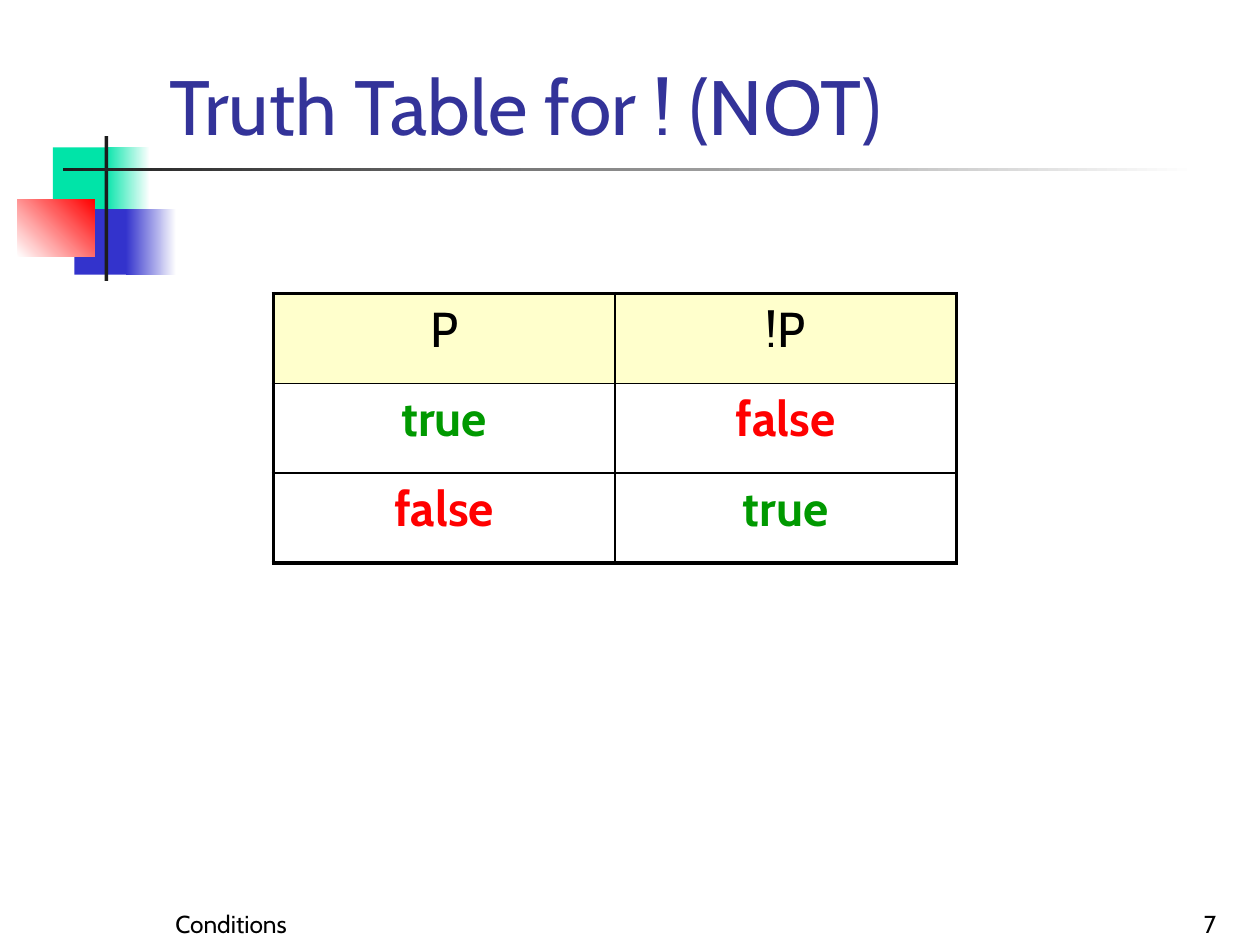
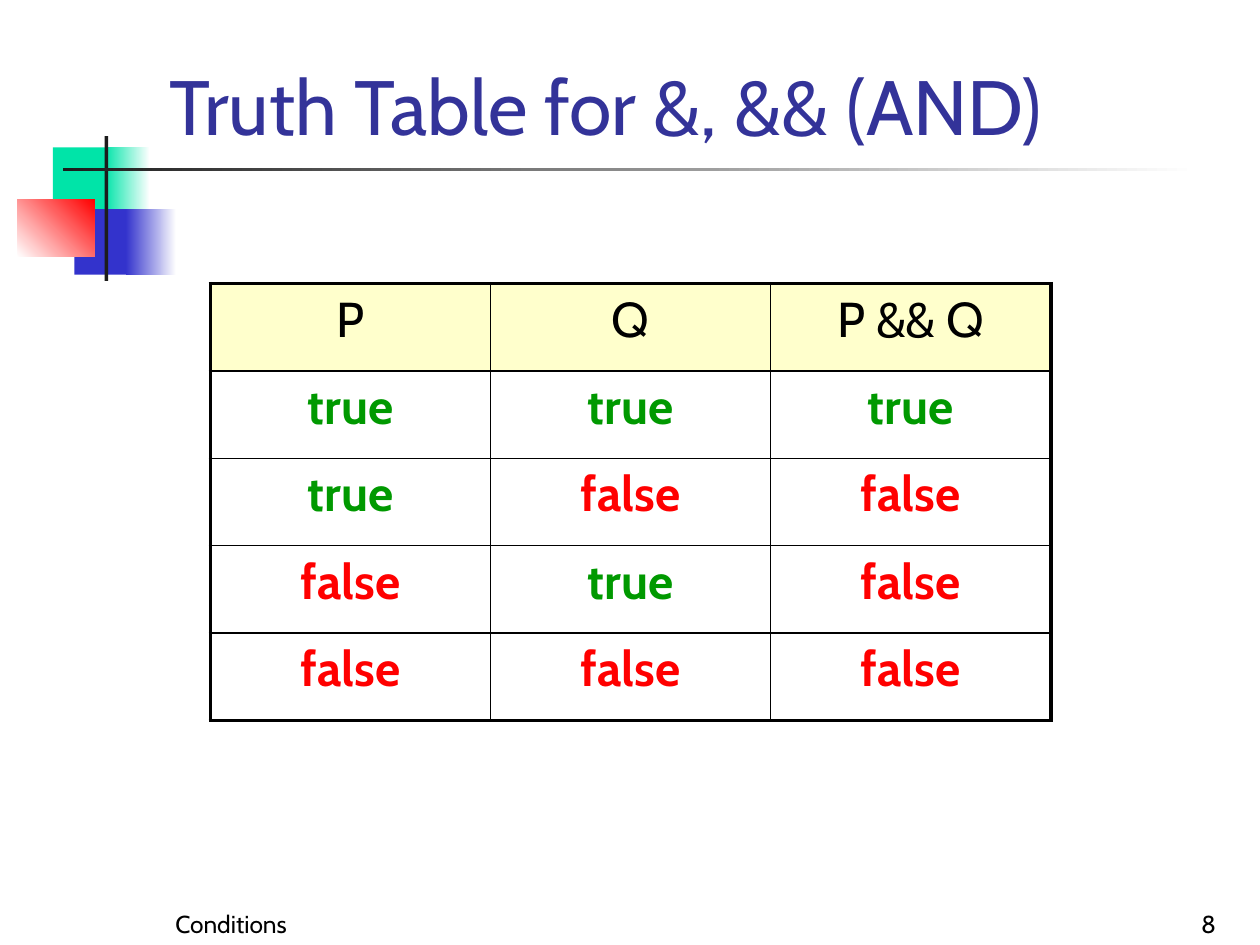
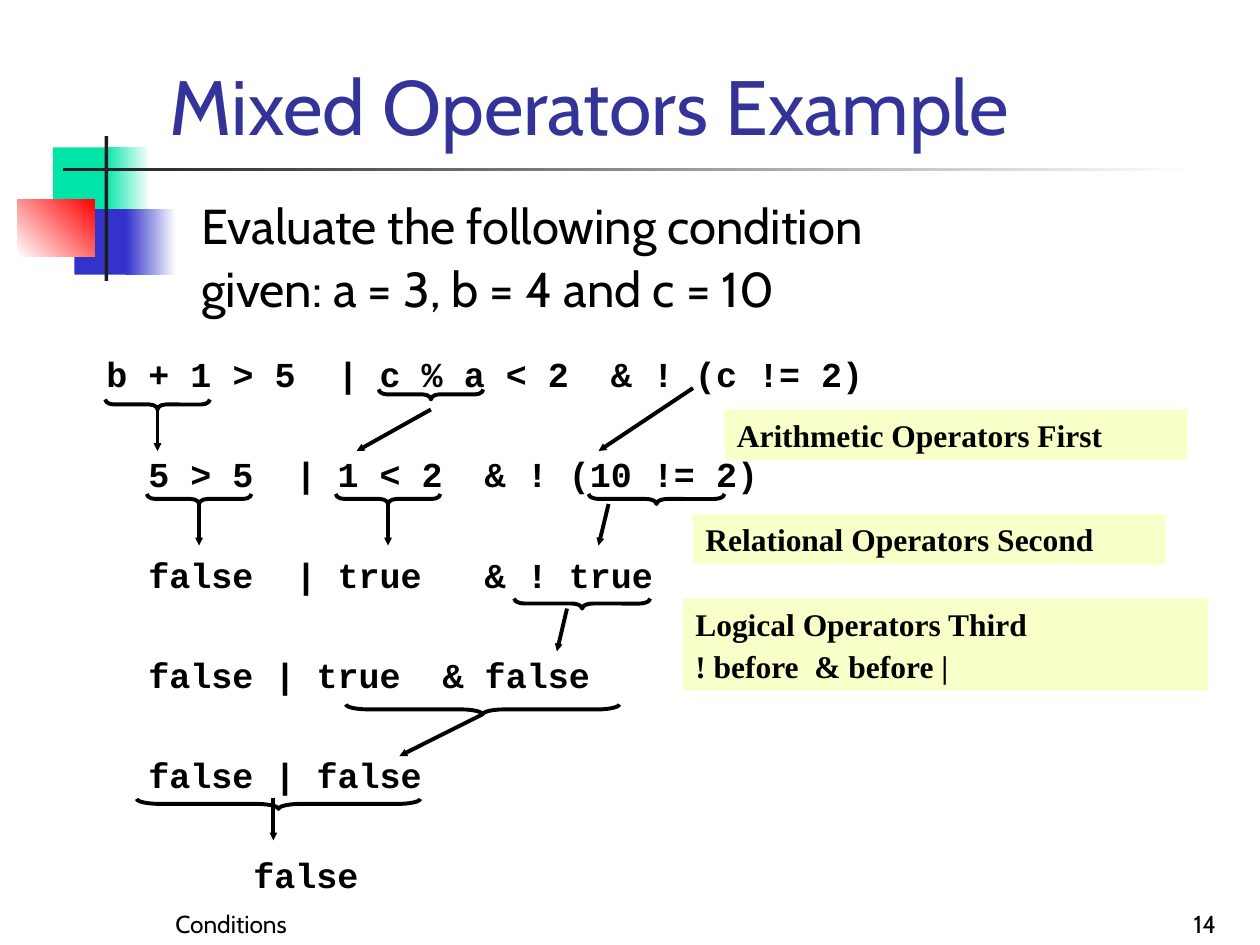
from lxml import etree
from pptx import Presentation
from pptx.dml.color import RGBColor
from pptx.enum.shapes import MSO_CONNECTOR, MSO_SHAPE
from pptx.enum.text import MSO_ANCHOR, PP_ALIGN
from pptx.oxml.ns import qn
from pptx.util import Inches, Pt

RECT, BRACE = MSO_SHAPE.RECTANGLE, MSO_SHAPE.RIGHT_BRACE
STRAIGHT = MSO_CONNECTOR.STRAIGHT
TOP, BOTTOM = MSO_ANCHOR.TOP, MSO_ANCHOR.BOTTOM
LEFT, CENTER, RIGHT = PP_ALIGN.LEFT, PP_ALIGN.CENTER, PP_ALIGN.RIGHT

SANS, MONO, SERIF = "Cabin", "Courier New", "Times New Roman"
BLACK, WHITE, INK = "000000", "FFFFFF", "1C1C1C"
GREEN, BLUE, RED = "00E4A8", "3333CC", "FF0000"
TITLE, HEAD, NOTE = "333399", "FFFFCC", "F9FFC9"
WORDS = {"true": "009900", "false": RED}
THICK, THIN = 2.25, 1
CHAR = 1 / 6  # width in inches of one 20 pt code letter

# box, colours (two make a gradient), angle
MOTIF = [
    ((0.42, 1.17, 0.48, 0.52), [GREEN], 0),
    ((0.83, 1.17, 0.36, 0.52), [GREEN, WHITE], 0),
    ((0.59, 1.66, 0.46, 0.52), [BLUE], 0),
    ((1, 1.66, 0.4, 0.52), [BLUE, WHITE], 0),
    ((0.14, 1.58, 0.61, 0.46), [WHITE, RED], 45),
    ((0.83, 1.08, 0.03, 1.15), [INK], 0),
    ((0.5, 1.33, 9, 0.03), [INK, WHITE], 0),
]

# indent in letters, text
STEPS = [
    (1, "b + 1 > 5  | c % a < 2  & ! (c != 2)"),
    (3, "5 > 5  | 1 < 2  & ! (10 != 2)"),
    (3, "false  | true   & ! true"),
    (3, "false | true  & false"),
    (3, "false | false"),
    (8, "false"),
]

# centre x, centre y, span
BRACES = [
    (1.25, 3.21, 0.83), (3.42, 3.13, 0.83),
    (1.58, 3.96, 0.83), (3.08, 3.96, 0.83), (5.21, 3.96, 1.08),
    (4.62, 4.79, 1.08), (3.83, 5.63, 2.17), (2.21, 6.38, 2.25),
]

# from x, y, to x, y
ARROWS = [
    (1.25, 3.25, 1.25, 3.58), (3.42, 3.25, 2.83, 3.58),
    (5.5, 3.08, 4.75, 3.58), (1.58, 4, 1.58, 4.33),
    (3.08, 4, 3.08, 4.33), (4.83, 4, 4.75, 4.33),
    (4.5, 4.83, 4.42, 5.17), (3.83, 5.67, 3.17, 6),
    (2.17, 6.33, 2.17, 6.67),
]

NOTES = [
    ((5.75, 3.25, 3.67, 0.4), ["Arithmetic Operators First"]),
    ((5.5, 4.08, 3.75, 0.4), ["Relational Operators Second"]),
    ((5.42, 4.75, 4.17, 0.73),
     ["Logical Operators Third", "! before  & before |"]),
]


def rgb(code):
    return RGBColor.from_string(code)


def inches(box):
    return [Inches(v) for v in box]


def style(para, size, font=SANS, color=BLACK, bold=False, align=LEFT):
    para.alignment = align
    for run in para.runs:
        run.font.size = Pt(size)
        run.font.name = font
        run.font.bold = bold
        run.font.color.rgb = rgb(color)


def write(shape, lines, size, anchor=TOP, gap=0, **look):
    """Fill a shape with one paragraph a line, gap points apart."""
    frame = shape.text_frame
    frame.word_wrap = True
    frame.vertical_anchor = anchor
    frame.text = "\n".join(lines)
    for i, para in enumerate(frame.paragraphs):
        para.space_before = Pt(gap if i else 0)
        style(para, size, **look)
    return frame


def label(slide, box, lines, size, **look):
    return write(slide.shapes.add_textbox(*inches(box)), lines, size, **look)


def block(slide, box, colors, angle=0):
    shape = slide.shapes.add_shape(RECT, *inches(box))
    shape.shadow.inherit = False
    shape.line.fill.background()
    if len(colors) == 1:
        shape.fill.solid()
        shape.fill.fore_color.rgb = rgb(colors[0])
    else:
        shape.fill.gradient()
        shape.fill.gradient_angle = angle
        for stop, color in zip(shape.fill.gradient_stops, colors):
            stop.color.rgb = rgb(color)
    return shape


def base(deck, title, page):
    """Add a slide with the shared motif, title and footer."""
    slide = deck.slides.add_slide(deck.slide_layouts[6])
    for part in MOTIF:
        block(slide, *part)
    label(slide, (0.25, 7, 3.17, 0.5), ["Conditions"], 14,
          anchor=BOTTOM, align=CENTER)
    label(slide, (7.67, 7, 2.08, 0.5), [str(page)], 14,
          anchor=BOTTOM, align=RIGHT)
    label(slide, (1.25, 0, 8.52, 1.25), [title], 44,
          anchor=BOTTOM, color=TITLE)
    return slide


def edge(cell, side, width):
    line = etree.SubElement(cell._tc.get_or_add_tcPr(), qn("a:ln" + side),
                            w=str(Pt(width)))
    fill = etree.SubElement(line, qn("a:solidFill"))
    etree.SubElement(fill, qn("a:srgbClr"), val=BLACK)


def truth(slide, box, rows):
    """Draw a truth table with a thick frame and coloured values."""
    high, wide = len(rows), len(rows[0])
    table = slide.shapes.add_table(high, wide, *inches(box)).table
    table.first_row = table.horz_banding = False
    for col in table.columns:
        col.width = Inches(box[2] / wide)
    for r, row in enumerate(rows):
        table.rows[r].height = Inches(box[3] / high)
        for c, text in enumerate(row):
            cell = table.cell(r, c)
            outer = {"L": c == 0, "R": c == wide - 1,
                     "T": r == 0, "B": r == high - 1}
            for side, out in outer.items():
                edge(cell, side, THICK if out else THIN)
            if r:
                cell.fill.background()
            else:
                cell.fill.solid()
                cell.fill.fore_color.rgb = rgb(HEAD)
            cell.text_frame.text = text
            style(cell.text_frame.paragraphs[0], 28, bold=r > 0,
                  color=WORDS.get(text, BLACK), align=CENTER)


def brace(slide, x, y, span):
    """Draw a brace lying on its side, centred on x, y."""
    thick = 0.08
    box = (x - thick / 2, y - span / 2, thick, span)
    shape = slide.shapes.add_shape(BRACE, *inches(box))
    shape.rotation = 90
    shape.adjustments[0] = span
    shape.adjustments[1] = 0.5
    shape.shadow.inherit = False
    shape.fill.background()
    shape.line.color.rgb = rgb(BLACK)
    shape.line.width = Pt(THICK)


def arrow(slide, *ends):
    link = slide.shapes.add_connector(STRAIGHT, *inches(ends))
    link.line.color.rgb = rgb(BLACK)
    link.line.width = Pt(THICK)
    etree.SubElement(link.line._get_or_add_ln(), qn("a:tailEnd"),
                     type="triangle", w="sm", len="sm")
    etree.SubElement(link._element.spPr, qn("a:effectLst"))


def code(slide, box):
    """Write the evaluation steps, each indented by whole letters."""
    frame = write(block(slide, box, [WHITE]), [text for _, text in STEPS],
                  20, gap=33.3, font=MONO, bold=True)
    frame.paragraphs[0].space_before = Pt(3)
    for para, (count, _) in zip(frame.paragraphs, STEPS):
        para._p.get_or_add_pPr().set("marL", str(Inches(count * CHAR)))


def mixed(slide):
    label(slide, (1.5, 1.5, 8.5, 1.17),
          ["Evaluate the following condition",
           "given: a = 3, b = 4 and c = 10"], 28, gap=2.8)
    code(slide, (0.58, 2.75, 6.5, 4.48))
    for item in BRACES:
        brace(slide, *item)
    for item in ARROWS:
        arrow(slide, *item)
    for box, lines in NOTES:
        write(block(slide, box, [NOTE]), lines, 18, gap=2.5,
              font=SERIF, bold=True)


def main():
    deck = Presentation()
    deck.slide_width, deck.slide_height = Inches(10), Inches(7.5)
    truth(base(deck, "Truth Table for ! (NOT)", 7), (2.17, 2.33, 5.42, 2.14),
          [("P", "!P"), ("true", "false"), ("false", "true")])
    truth(base(deck, "Truth Table for &, && (AND)", 8),
          (1.67, 2.25, 6.67, 3.47),
          [("P", "Q", "P && Q"),
           ("true", "true", "true"),
           ("true", "false", "false"),
           ("false", "true", "false"),
           ("false", "false", "false")])
    mixed(base(deck, "Mixed Operators Example", 14))
    deck.save("out.pptx")


if __name__ == "__main__":
    main()
